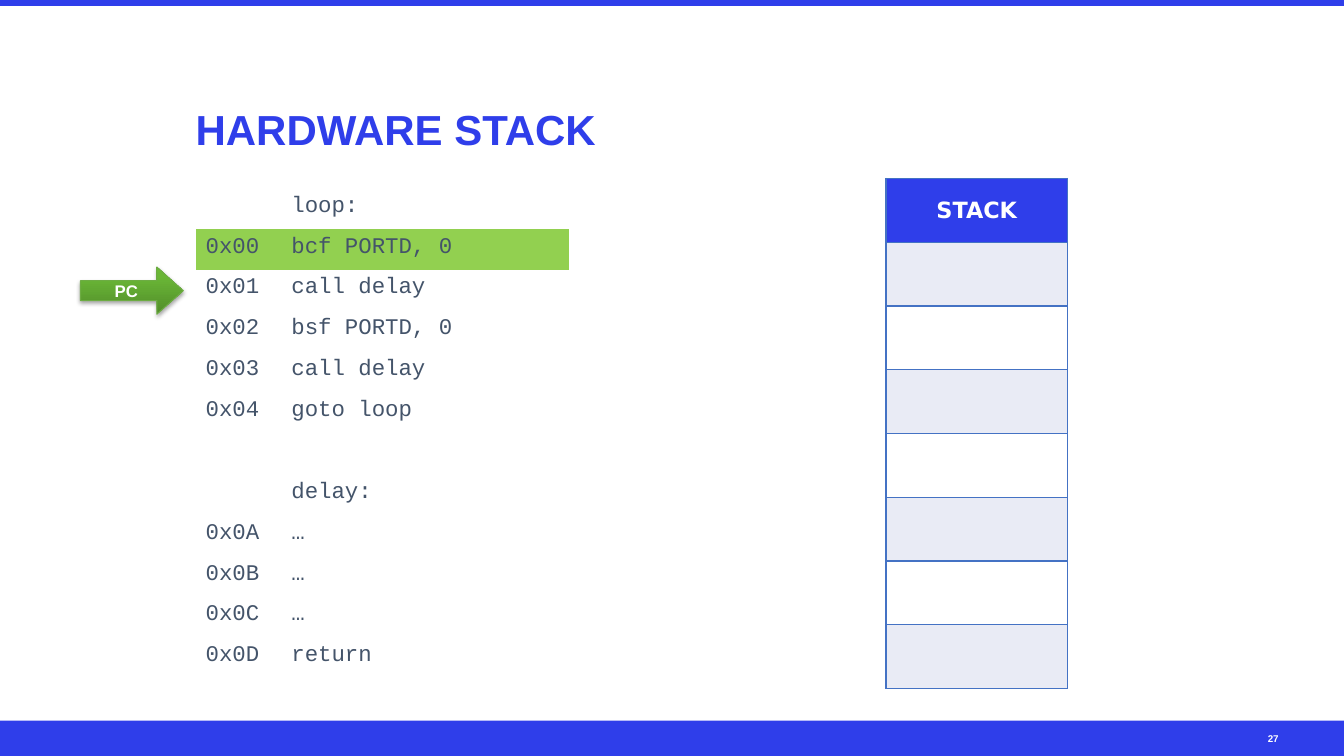
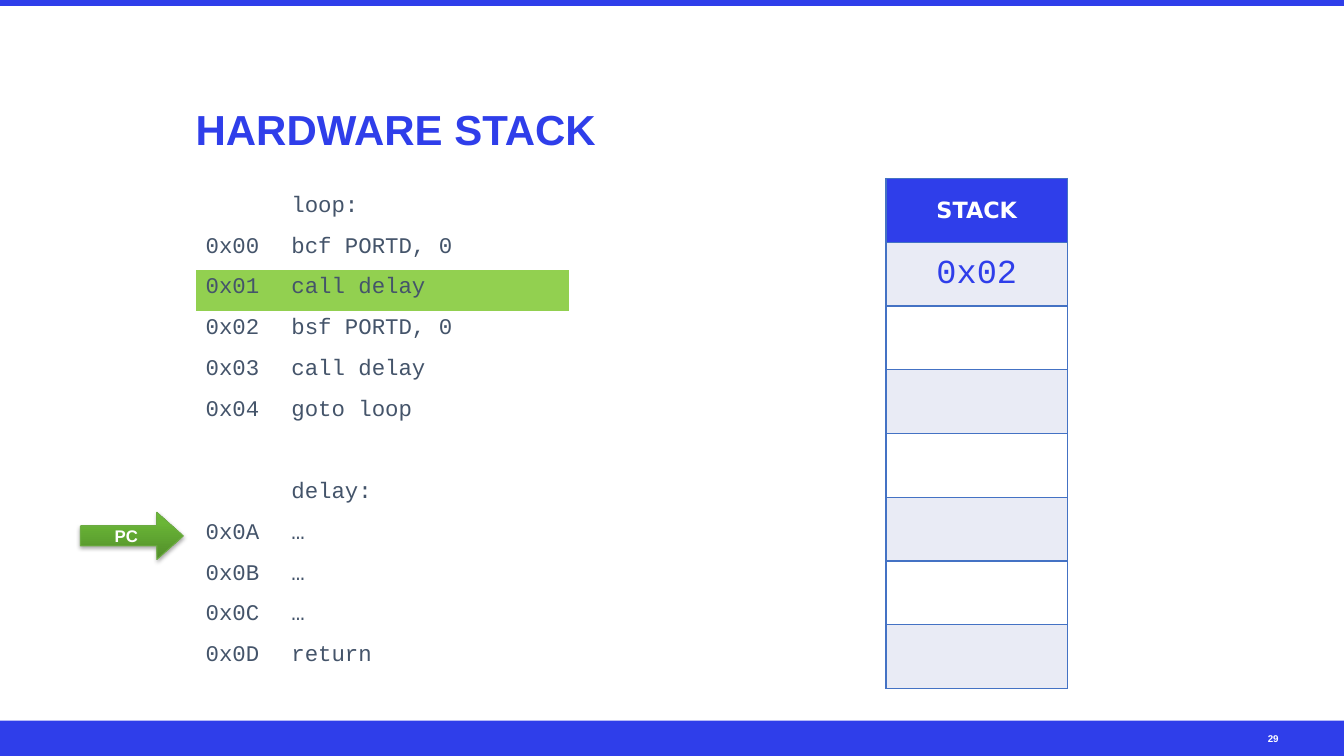
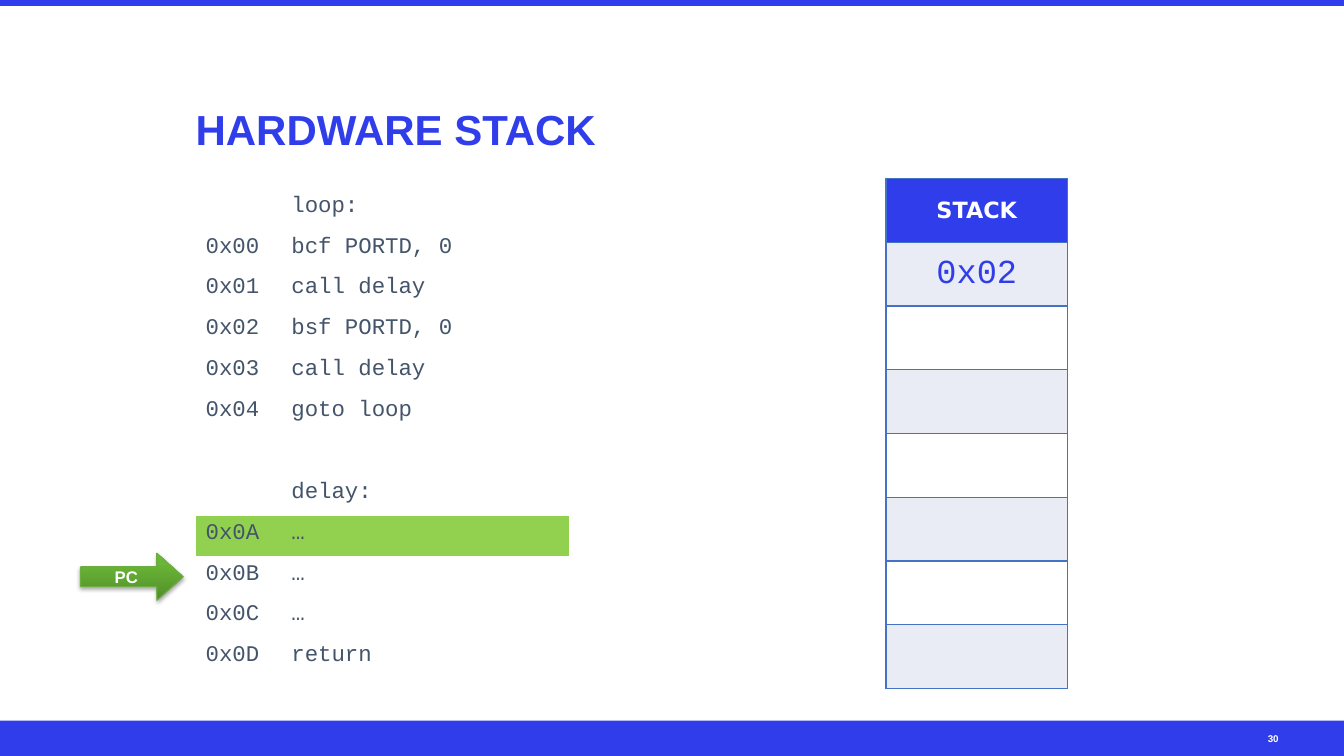
from pptx import Presentation
from pptx.dml.color import RGBColor as RGB
from pptx.enum.shapes import MSO_SHAPE as Shape
from pptx.enum.text import MSO_ANCHOR as Anchor, PP_ALIGN as Align
from pptx.oxml import parse_xml
from pptx.oxml.ns import nsdecls, qn
from pptx.util import Cm, Pt


class Theme:
    blue, white, pale, slate = "2F3EEA", "FFFFFF", "E9EBF5", "44546A"
    mark, grid, rim = "92D050", "4472C4", "6DAC43"
    fade = [(0, "518D2A"), (80, "6AB636"), (100, "6ABA34")]
    bare = "{2D5ABB26-0587-4C30-8999-92F81FD0307C}"
    # text style: colour, then font attributes
    title = blue, {"name": "Arial", "size": Pt(30), "bold": True}
    page = white, {"name": "Arial", "size": Pt(7), "bold": True}
    arrow = white, {"name": "Arial", "size": Pt(12), "bold": True}
    code = slate, {"name": "Courier New", "size": Pt(16), "bold": False}
    head = white, {"name": "DejaVu Sans", "size": Pt(16), "bold": True}
    value = blue, {"name": "Courier New", "size": Pt(24), "bold": False}


def write(frame, text, style, align=Align.LEFT):
    para = frame.paragraphs[0]
    para.alignment = align
    run = para.add_run()
    run.text = text
    tint, font = style
    run.font.color.rgb = RGB.from_string(tint)
    for key, val in font.items():
        setattr(run.font, key, val)


def grid(slide, rows, cols, area):
    """Add a table that has no style of its own."""
    table = slide.shapes.add_table(rows, cols, *map(Cm, area)).table
    table.first_row = table.horz_banding = False
    table._tbl.tblPr.find(qn("a:tableStyleId")).text = Theme.bare
    return table


WIDE, HIGH = 33.87, 19.05
BANDS = [(0, HIGH - 0.89, WIDE, 0.89), (0, 0, WIDE, 0.15)]
LEFT, TOP, PITCH = 4.93, 4.75, 1.03
COLS = [2.16, 7.24]
ARROW = 2.59, 1.19
FLAT = {"margin_left": 0, "margin_right": 0, "margin_top": 0,
        "margin_bottom": 0, "word_wrap": True}
CODE = [
    ("", "loop:"),
    ("0x00", "bcf PORTD, 0"),
    ("0x01", "call delay"),
    ("0x02", "bsf PORTD, 0"),
    ("0x03", "call delay"),
    ("0x04", "goto loop"),
    ("", ""),
    ("", "delay:"),
    ("0x0A", "…"),
    ("0x0B", "…"),
    ("0x0C", "…"),
    ("0x0D", "return"),
]
DEPTH = 8
# page number, row being run, row the counter points at, top of stack
STEPS = [("27", 1, 2, ""), ("29", 2, 8, "0x02"), ("30", 8, 9, "0x02")]

deck = Presentation()
deck.slide_width, deck.slide_height = Cm(WIDE), Cm(HIGH)

for page, now, goal, saved in STEPS:
    slide = deck.slides.add_slide(deck.slide_layouts[6])

    for area in BANDS:
        band = slide.shapes.add_shape(Shape.RECTANGLE, *map(Cm, area))
        band.shadow.inherit = False
        band.fill.solid()
        band.fill.fore_color.rgb = RGB.from_string(Theme.blue)
        band.line.fill.background()

    for text, style, anchor, area in [
        ("HARDWARE STACK", Theme.title, Anchor.BOTTOM, (LEFT, 1.19, 25.86, 2.69)),
        (page, Theme.page, Anchor.MIDDLE, (31.95, HIGH - 0.89, 1.19, 0.89)),
    ]:
        frame = slide.shapes.add_textbox(*map(Cm, area)).text_frame
        for key, val in FLAT.items():
            setattr(frame, key, val)
        frame.vertical_anchor = anchor
        write(frame, text, style)

    # Program listing
    table = grid(slide, len(CODE), len(COLS),
                 (LEFT, TOP, sum(COLS), PITCH * len(CODE)))
    for col, width in zip(table.columns, COLS):
        col.width = Cm(width)
    for row, line in enumerate(CODE):
        for col, text in enumerate(line):
            cell = table.cell(row, col)
            if text:
                write(cell.text_frame, text, Theme.code)
            if row == now:
                cell.fill.solid()
                cell.fill.fore_color.rgb = RGB.from_string(Theme.mark)
            else:
                cell.fill.background()

    # Hardware stack
    table = grid(slide, DEPTH, 1, (22.33, 4.5, 4.57, 12.85))
    for row in range(DEPTH):
        cell = table.cell(row, 0)
        cell.vertical_anchor = Anchor.MIDDLE
        for side in "LRTB":
            cell._tc.get_or_add_tcPr().append(parse_xml(
                f'<a:ln{side} {nsdecls("a")} w="12700"><a:solidFill>'
                f'<a:srgbClr val="{Theme.grid}"/></a:solidFill></a:ln{side}>'))
        tint = Theme.pale if row % 2 else Theme.white
        cell.fill.solid()
        cell.fill.fore_color.rgb = RGB.from_string(tint if row else Theme.blue)
    write(table.cell(0, 0).text_frame, "STACK", Theme.head, Align.CENTER)
    if saved:
        write(table.cell(1, 0).text_frame, saved, Theme.value, Align.CENTER)

    # Program counter, centred on the row it points at
    wide, high = ARROW
    mid = TOP + (goal + 0.5) * PITCH
    arrow = slide.shapes.add_shape(
        Shape.RIGHT_ARROW, Cm(2.03), Cm(mid - high / 2), Cm(wide), Cm(high))
    arrow.adjustments[0], arrow.adjustments[1] = 0.42, 0.56
    arrow.line.color.rgb = RGB.from_string(Theme.rim)
    arrow.line.width = Pt(0.75)
    arrow.shadow.inherit = False
    props = arrow._element.spPr
    stops = "".join(f'<a:gs pos="{pos * 1000}"><a:srgbClr val="{tint}"/></a:gs>'
                    for pos, tint in Theme.fade)
    props.find(qn("a:prstGeom")).addnext(parse_xml(
        f'<a:gradFill {nsdecls("a")} rotWithShape="1"><a:gsLst>{stops}</a:gsLst>'
        '<a:lin ang="16200000" scaled="0"/></a:gradFill>'))
    props.find(qn("a:effectLst")).append(parse_xml(
        f'<a:outerShdw {nsdecls("a")} blurRad="40000" dist="23000" dir="5400000" '
        'rotWithShape="0"><a:srgbClr val="000000"><a:alpha val="35000"/>'
        '</a:srgbClr></a:outerShdw>'))
    arrow.text_frame.vertical_anchor = Anchor.MIDDLE
    write(arrow.text_frame, "PC", Theme.arrow, Align.CENTER)

deck.save("out.pptx")
